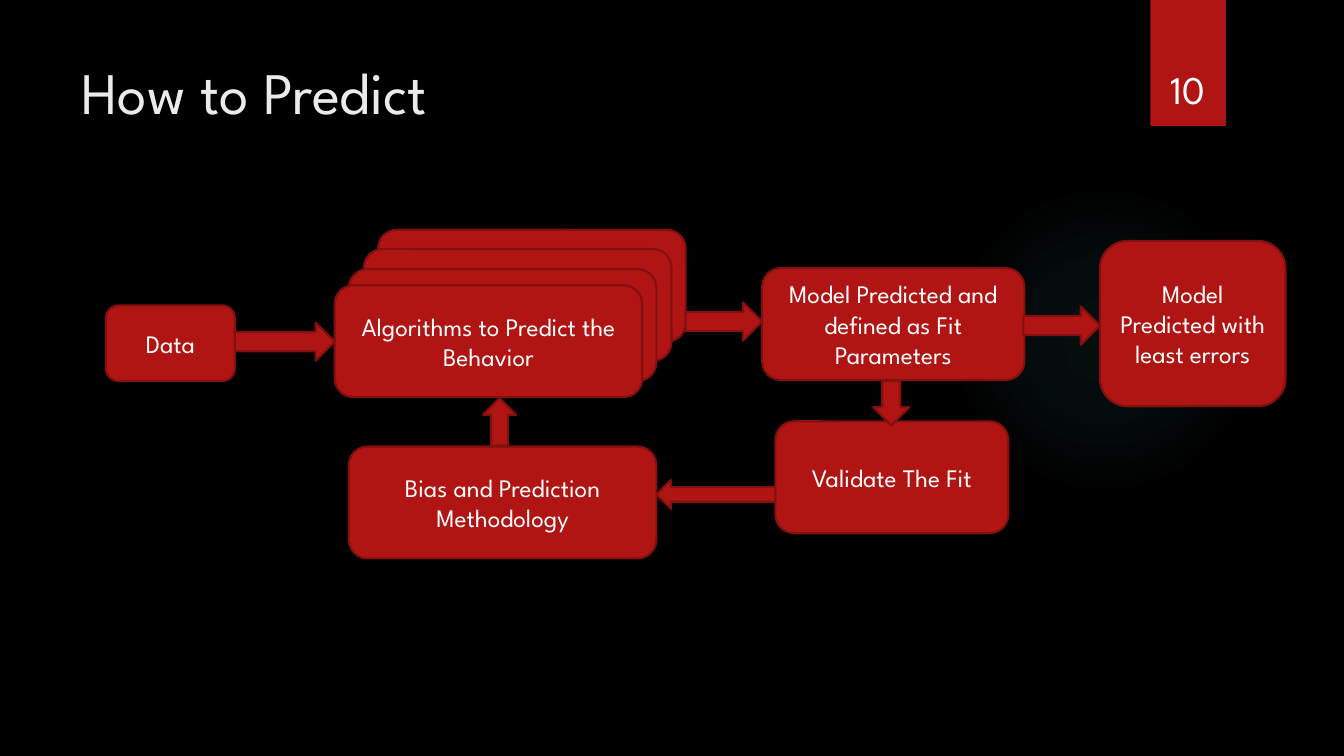
import lxml.etree
import pptx
import pptx.dml.color
import pptx.enum.shapes
import pptx.enum.text
import pptx.oxml
import pptx.oxml.ns
import pptx.util

Inches = pptx.util.Inches
SHAPE = pptx.enum.shapes.MSO_SHAPE
ANCHOR = pptx.enum.text.MSO_ANCHOR
ALIGN = pptx.enum.text.PP_ALIGN
FONT = "League Spartan"
COLORS = {
    "background": "000000",
    "box": "B01513",
    "edge": "82100E",
    "title": "EBEBEB",
    "label": "FFFFFF",
    "glow": "50B9C1",
}


def rgb(name):
    """Return the named colour."""
    return pptx.dml.color.RGBColor.from_string(COLORS[name])


def write(holder, text, size, color, align, anchor):
    """Write one styled paragraph into a shape or text box."""
    frame = holder.text_frame
    frame.word_wrap = True
    frame.vertical_anchor = anchor
    paragraph = frame.paragraphs[0]
    paragraph.text = text
    paragraph.alignment = align
    paragraph.font.name = FONT
    paragraph.font.size = pptx.util.Pt(size)
    paragraph.font.color.rgb = rgb(color)


def add_block(slide, kind, box, edged=True):
    """Add a red shape in the given box, with or without a dark edge."""
    block = slide.shapes.add_shape(kind, *map(Inches, box))
    block.shadow.inherit = False
    block.fill.solid()
    block.fill.fore_color.rgb = rgb("box")
    if edged:
        block.line.color.rgb = rgb("edge")
        block.line.width = pptx.util.Pt(1.5)
    else:
        block.line.fill.background()
    return block


def add_step(slide, box, text=""):
    """Add a rounded step of the process with its label."""
    step = add_block(slide, SHAPE.ROUNDED_RECTANGLE, box)
    if text:
        write(step, text, 18, "label", ALIGN.CENTER, ANCHOR.MIDDLE)


def add_arrow(slide, box, turn=0):
    """Add a block arrow, turned clockwise by the given degrees."""
    add_block(slide, SHAPE.RIGHT_ARROW, box).rotation = turn


def add_glow(slide, box):
    """Add a faint round glow that fades out towards its rim."""
    glow = slide.shapes.add_shape(SHAPE.OVAL, *map(Inches, box))
    glow.shadow.inherit = False
    glow.line.fill.background()
    stops = "".join(
        f'<a:gs pos="{place * 1000}"><a:srgbClr val="{COLORS["glow"]}">'
        f'<a:alpha val="{alpha * 1000}"/></a:srgbClr></a:gs>'
        for place, alpha in ((0, 7), (36, 6), (69, 0))
    )
    gradient = pptx.oxml.parse_xml(
        f'<a:gradFill {pptx.oxml.ns.nsdecls("a")}><a:gsLst>{stops}</a:gsLst>'
        '<a:path path="circle"><a:fillToRect l="50000" t="50000" r="50000" b="50000"/>'
        "</a:path></a:gradFill>"
    )
    glow.element.spPr.find(pptx.oxml.ns.qn("a:prstGeom")).addnext(gradient)


def add_header(slide, left, top):
    """Add the title and the ribbon with the page number."""
    add_block(slide, SHAPE.RECTANGLE, (left + 10.7, 0, 0.75, 1.25), edged=False)
    title = slide.shapes.add_textbox(*map(Inches, (left, top, 10.29, 1.53)))
    write(title, "How to Predict", 42, "title", ALIGN.LEFT, ANCHOR.TOP)
    number = slide.shapes.add_textbox(*map(Inches, (left + 10.61, top - 0.18, 0.92, 0.84)))
    write(number, "10", 28, "label", ALIGN.CENTER, ANCHOR.BOTTOM)


def add_process(slide, left, top):
    """Add the prediction steps and the arrows between them."""
    steps = (
        (2.7, 0, 3.05, 1.11, ""),
        (2.56, 0.19, 3.05, 1.11, ""),
        (2.41, 0.39, 3.05, 1.11, ""),
        (2.27, 0.55, 3.05, 1.11, "Algorithms to Predict the Behavior"),
        (0, 0.75, 1.28, 0.75, "Data"),
        (6.51, 0.38, 2.6, 1.11, "Model Predicted and defined as Fit Parameters"),
        (2.41, 2.15, 3.05, 1.11, "Bias and Prediction Methodology"),
        (6.64, 1.9, 2.31, 1.11, "Validate The Fit"),
        (9.86, 0.11, 1.84, 1.64, "Model Predicted with least errors"),
    )
    arrows = (
        (1.28, 0.92, 0.99, 0.38, 0),
        (5.75, 0.72, 0.76, 0.38, 0),
        (9.1, 0.76, 0.76, 0.38, 0),
        (7.57, 1.54, 0.44, 0.36, 90),
        (5.46, 2.48, 1.18, 0.29, 180),
        (3.67, 1.74, 0.47, 0.33, 270),
    )
    for x, y, width, height, text in steps:
        add_step(slide, (left + x, top + y, width, height), text)
    for x, y, width, height, turn in arrows:
        add_arrow(slide, (left + x, top + y, width, height), turn)


def main():
    """Build the slide and save it."""
    deck = pptx.Presentation()
    deck.slide_width, deck.slide_height = Inches(13.33), Inches(7.5)
    slide = deck.slides.add_slide(deck.slide_layouts[6])
    slide.background.fill.solid()
    slide.background.fill.fore_color.rgb = rgb("background")
    add_glow(slide, (9.41, 1.83, 3.08, 3.08))
    add_header(slide, 0.71, 0.5)
    add_process(slide, 1.05, 2.28)
    deck.save("out.pptx")


if __name__ == "__main__":
    main()
